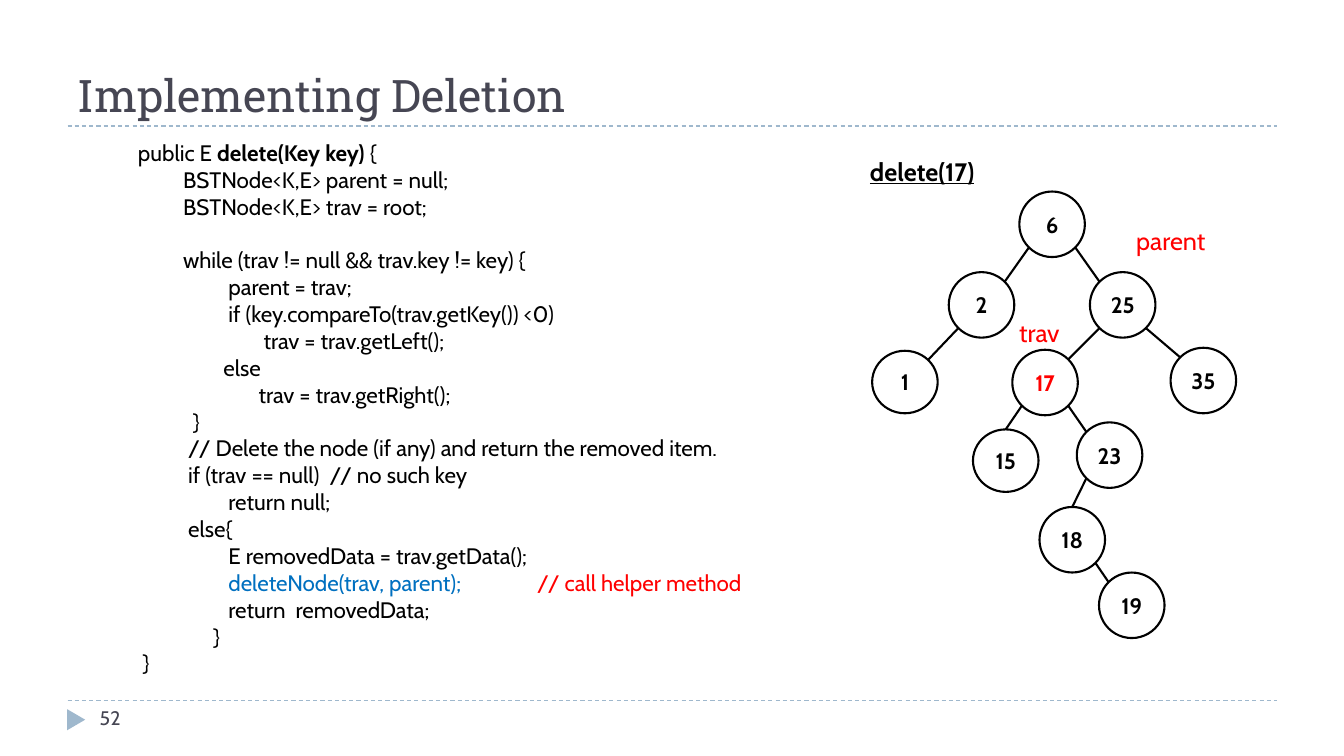
import math

import pptx
import pptx.dml.color
import pptx.enum.dml
import pptx.enum.shapes
import pptx.enum.text
import pptx.oxml
import pptx.oxml.ns
import pptx.util

RGB = pptx.dml.color.RGBColor
BLACK = RGB(0, 0, 0)
WHITE = RGB(255, 255, 255)
RED = RGB(255, 0, 0)
BLUE = RGB(0x00, 0x70, 0xC0)
SLATE = RGB(0x46, 0x46, 0x53)
MIST = RGB(0x9F, 0xB8, 0xCD)
SHAPE = pptx.enum.shapes.MSO_SHAPE
ANCHOR = pptx.enum.text.MSO_ANCHOR
PX = 9144  # EMU per px, 100 px to the inch

# Code: one line each, as pieces of (text, colour, bold)
CODE = [
    [("public E ", BLACK, False), ("delete(Key key) ", BLACK, True), ("{", BLACK, False)],
    "         BSTNode<K,E> parent = null;",
    "         BSTNode<K,E> trav = root;",
    "         while (trav != null && trav.key != key) {",
    "                  parent = trav;",
    "                  if (key.compareTo(trav.getKey()) <0)",
    "                         trav = trav.getLeft();",
    "                 else",
    "                        trav = trav.getRight();",
    "           }",
    "          // Delete the node (if any) and return the removed item.",
    "          if (trav == null)  // no such key",
    "                  return null;",
    "          else{",
    "                  E removedData = trav.getData();",
    [("                  deleteNode(trav, parent);", BLUE, False),
     ("\t// call helper method", RED, False)],
    "                  return  removedData;",
    "               }",
    " }",
]
LOOP = 3  # line that opens a new section
NOTE = 15  # line with a tabbed remark
TAB = 396

# Text: words, left, top, width, height, size, colour, font
TEXTS = {
    "title": ("Implementing Deletion", 67, 17, 1200, 108, 32, SLATE, "Roboto Slab"),
    "page": ("52", 89, 695, 289, 40, 14, SLATE, "Cabin"),
    "call": ("delete(17)", 853, 150, 162, 40, 18, BLACK, "Cabin"),
    "parent": ("parent", 1117, 219, 162, 40, 18, RED, "Cabin"),
    "trav": ("trav", 1001, 310, 162, 40, 18, RED, "Cabin"),
}

# Tree: key -> left, top, height
WIDE = 65
NODES = {
    6: (1011, 190, 65), 2: (941, 270, 65), 25: (1081, 270, 65),
    17: (1004, 347, 65), 23: (1068, 419, 65), 35: (1161, 345, 65),
    1: (865, 348, 62), 18: (1031, 503, 65), 15: (965, 426, 62),
    19: (1090, 568, 65),
}
# Degrees clockwise from the right, on the upper and on the lower node
LEFT, RIGHT = 135, 45
TOP, TOPLEFT, TOPRIGHT = 270, 225, 315
EDGES = [
    (6, LEFT, 2, TOPRIGHT), (6, RIGHT, 25, TOPLEFT), (2, LEFT, 1, TOPRIGHT),
    (25, LEFT, 17, TOPRIGHT), (25, RIGHT, 35, TOPLEFT), (17, LEFT, 15, TOP),
    (17, RIGHT, 23, TOPLEFT), (23, LEFT, 18, TOP), (18, RIGHT, 19, TOPLEFT),
]
FOUND = 17

deck = pptx.Presentation()
deck.slide_width, deck.slide_height = 1333 * PX, 750 * PX
slide = deck.slides.add_slide(deck.slide_layouts[6])
shapes = slide.shapes


def style(run, size, color, bold=False, face="Cabin"):
    run.font.size = pptx.util.Pt(size)
    run.font.name = face
    run.font.bold = bold
    run.font.color.rgb = color


def add_text(words, x, y, w, h, size, color, face):
    box = shapes.add_textbox(x * PX, y * PX, w * PX, h * PX)
    frame = box.text_frame
    frame.word_wrap = True
    frame.text = words
    style(frame.paragraphs[0].runs[0], size, color, False, face)
    return frame


def add_line(x1, y1, x2, y2, color, width):
    ends = [round(v * PX) for v in (x1, y1, x2, y2)]
    line = shapes.add_connector(pptx.enum.shapes.MSO_CONNECTOR.STRAIGHT, *ends)
    line.line.color.rgb = color
    line.line.width = pptx.util.Pt(width)
    props = line._element.spPr
    props.append(pptx.oxml.parse_xml(f"<a:effectLst {pptx.oxml.ns.nsdecls('a')}/>"))
    return line


def rim(key, angle):
    x, y, h = NODES[key]
    turn = math.radians(angle)
    return (x + WIDE / 2 * (1 + math.cos(turn)), y + h / 2 * (1 + math.sin(turn)))


# Rules and page marker
for y in (125, 695):
    rule = add_line(67, y, 1267, y, MIST, 0.75)
    rule.line.dash_style = pptx.enum.dml.MSO_LINE.DASH
mark = shapes.add_shape(SHAPE.ISOSCELES_TRIANGLE, 65 * PX, 705 * PX, 21 * PX, 18 * PX)
mark.rotation = 90
mark.shadow.inherit = False
mark.fill.solid()
mark.fill.fore_color.rgb = MIST
mark.line.fill.background()

# Title, page number and labels
frames = {name: add_text(*item) for name, item in TEXTS.items()}
frames["title"].vertical_anchor = ANCHOR.BOTTOM
head = frames["call"].paragraphs[0].runs[0].font
head.bold = head.underline = True

# Code
code = shapes.add_textbox(127 * PX, 133 * PX, 828 * PX, 549 * PX).text_frame
code.word_wrap = True
for i, row in enumerate(CODE):
    para = code.add_paragraph() if i else code.paragraphs[0]
    if i == LOOP:
        para.space_before = pptx.util.Pt(19.2)
    if i == NOTE:
        para._p.get_or_add_pPr().append(pptx.oxml.parse_xml(
            f"<a:tabLst {pptx.oxml.ns.nsdecls('a')}>"
            f'<a:tab pos="{TAB * PX}" algn="l"/></a:tabLst>'))
    pieces = [(row, BLACK, False)] if isinstance(row, str) else row
    for words, color, bold in pieces:
        run = para.add_run()
        run.text = words
        style(run, 16, color, bold)

# Tree edges, then nodes
for upper, start, lower, end in EDGES:
    add_line(*rim(upper, start), *rim(lower, end), BLACK, 1.5)
for key, (x, y, h) in NODES.items():
    node = shapes.add_shape(SHAPE.OVAL, x * PX, y * PX, WIDE * PX, h * PX)
    node.shadow.inherit = False
    node.fill.solid()
    node.fill.fore_color.rgb = WHITE
    node.line.color.rgb = BLACK
    node.line.width = pptx.util.Pt(1.5)
    frame = node.text_frame
    frame.margin_left = frame.margin_right = 0
    frame.vertical_anchor = ANCHOR.MIDDLE
    frame.text = str(key)
    frame.paragraphs[0].alignment = pptx.enum.text.PP_ALIGN.CENTER
    style(frame.paragraphs[0].runs[0], 16, RED if key == FOUND else BLACK, True)

deck.save("out.pptx")
